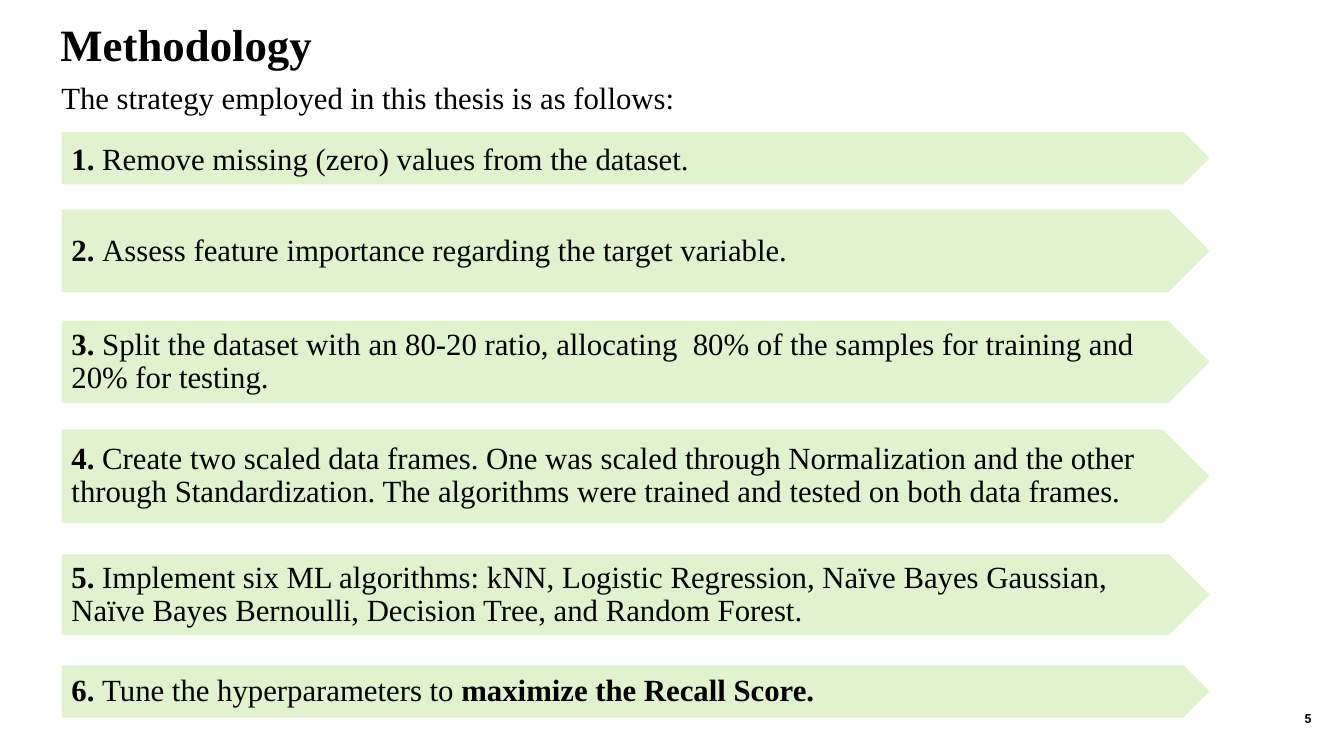
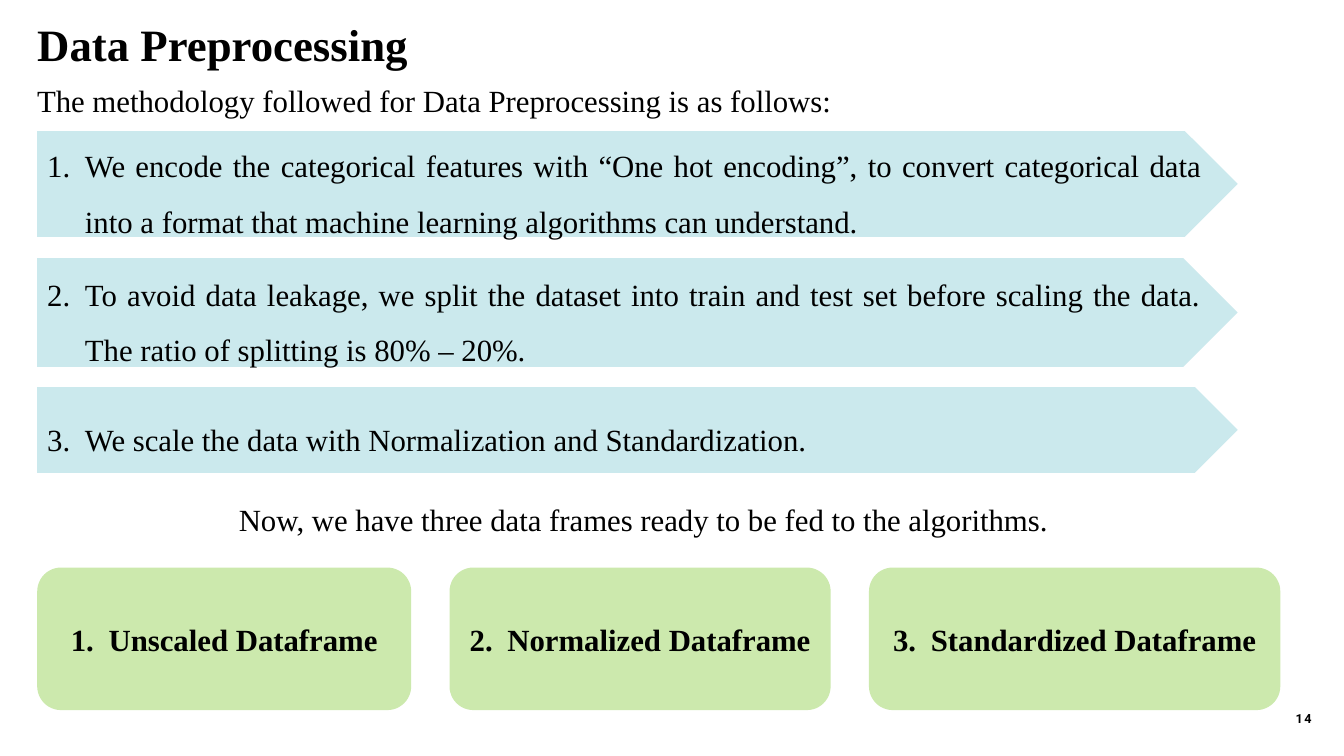
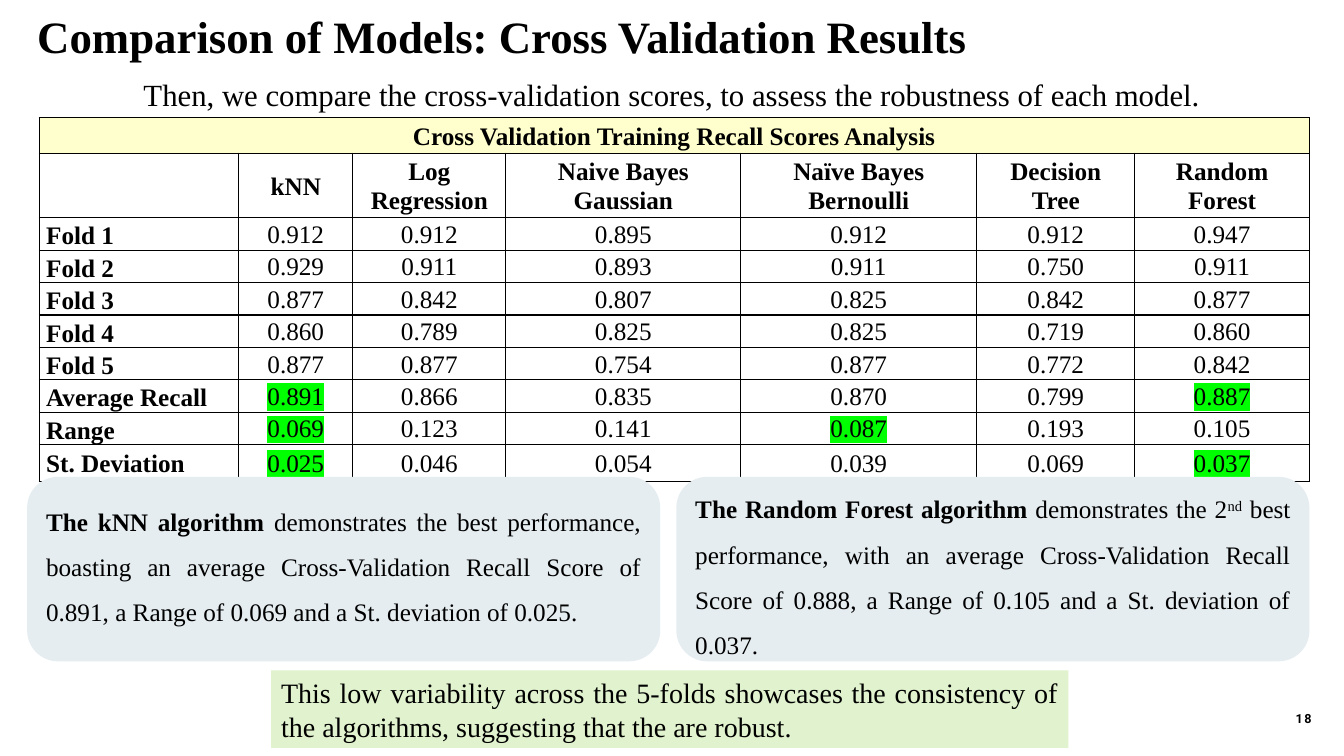
from lxml.etree import SubElement
from pptx import Presentation
from pptx.dml.color import RGBColor
from pptx.enum.shapes import MSO_SHAPE as Preset
from pptx.enum.text import MSO_ANCHOR as Anchor, MSO_AUTO_SIZE as AutoSize, PP_ALIGN as Align
from pptx.oxml.ns import qn
from pptx.util import Pt

BLACK = RGBColor(0x00, 0x00, 0x00)
WHITE = RGBColor(0xFF, 0xFF, 0xFF)
PALE_GREEN = RGBColor(0xE1, 0xF2, 0xCE)
GREEN = RGBColor(0xCC, 0xE9, 0xAD)
PALE_BLUE = RGBColor(0xCB, 0xE9, 0xED)
PALE_GREY = RGBColor(0xE5, 0xED, 0xF0)
CREAM = RGBColor(0xFF, 0xFF, 0xCD)
MARKER = RGBColor(0x00, 0xFF, 0x00)

SERIF = "Times New Roman"
PLAIN, BOLD, RAISED, MARKED = "plain", "bold", "raised", "marked"
LIST_INDENT = 27

STEPS = [
    # top, height, spans
    (94.3, 37.4, [("Remove missing (zero) values from the dataset.", PLAIN)]),
    (149.8, 59, [("Assess feature importance regarding the target variable.", PLAIN)]),
    (229, 59, [("Split the dataset with an 80-20 ratio, allocating  80% of the samples "
                "for training and 20% for testing.", PLAIN)]),
    (306.7, 67, [("Create two scaled data frames. One was scaled through Normalization and "
                  "the other through Standardization. The algorithms were trained and "
                  "tested on both data frames.", PLAIN)]),
    (396, 57.6, [("Implement six ML algorithms: kNN, Logistic Regression, Naïve Bayes "
                  "Gaussian, Naïve Bayes Bernoulli, Decision Tree, and Random Forest.", PLAIN)]),
    (475.2, 37.4, [("Tune the hyperparameters to ", PLAIN), ("maximize the Recall Score.", BOLD)]),
]

PREPROCESSING = [
    (93.6, 75.6, "We encode the categorical features with “One hot encoding”, to convert "
                 "categorical data into a format that machine learning algorithms can understand."),
    (184.3, 77.8, "To avoid data leakage, we split the dataset into train and test set before "
                  "scaling the data. The ratio of splitting is 80% – 20%."),
    (276.5, 61.2, "We scale the data with Normalization and Standardization."),
]

FRAMES = [(267.1, "Unscaled Dataframe"), (272.2, "Normalized Dataframe"),
          (293.8, "Standardized Dataframe")]

MODELS = ["", "kNN", "Log Regression", "Naive Bayes Gaussian", "Naïve Bayes Bernoulli",
          "Decision Tree", "Random Forest"]
SCORES = [
    ("Fold 1", "0.912 0.912 0.895 0.912 0.912 0.947"),
    ("Fold 2", "0.929 0.911 0.893 0.911 0.750 0.911"),
    ("Fold 3", "0.877 0.842 0.807 0.825 0.842 0.877"),
    ("Fold 4", "0.860 0.789 0.825 0.825 0.719 0.860"),
    ("Fold 5", "0.877 0.877 0.754 0.877 0.772 0.842"),
    ("Average Recall", "0.891* 0.866 0.835 0.870 0.799 0.887*"),
    ("Range", "0.069* 0.123 0.141 0.087* 0.193 0.105"),
    ("St. Deviation", "0.025* 0.046 0.054 0.039 0.069 0.037*"),
]
COLUMN_WIDTHS = [142.6, 81.4, 109.4, 167.8, 168.5, 113, 124.6]
ROW_HEIGHTS = [25.2, 43.2] + [20.9] * 7 + [26.6]

FINDINGS = [
    (Anchor.TOP, [
        ("The kNN algorithm ", BOLD),
        ("demonstrates the best performance, boasting an average Cross-Validation Recall "
         "Score of 0.891, a Range of 0.069 and a St. deviation of 0.025.", PLAIN)]),
    (Anchor.MIDDLE, [
        ("The Random Forest algorithm", BOLD), (" demonstrates the 2", PLAIN), ("nd", RAISED),
        (" best performance, with an average Cross-Validation Recall Score of 0.888, a Range "
         "of 0.105 and a St. deviation of 0.037.", PLAIN)]),
]


def points(*lengths):
    return [Pt(length) for length in lengths]


def add_span(para, text, style, size, font=SERIF):
    span = para.add_run()
    span.text = text
    span.font.name = font
    span.font.size = Pt(size)
    span.font.bold = style == BOLD
    span.font.color.rgb = BLACK
    props = span.font._element
    if style == RAISED:
        props.set("baseline", "30000")
    if style == MARKED:
        highlight = SubElement(props, qn("a:highlight"))
        SubElement(highlight, qn("a:srgbClr"), val=str(MARKER))
        props.find(qn("a:solidFill")).addnext(highlight)
    return span


def write(frame, spans, size=22, align=Align.LEFT, spacing=None, after=None):
    """Fill the first paragraph of a text frame with styled spans."""
    para = frame.paragraphs[0]
    para.alignment = align
    if spacing:
        para.line_spacing = spacing
    if after is not None:
        para.space_after = Pt(after)
    for text, style in spans:
        add_span(para, text, style, size)
    return para


def number(para, start):
    """Turn a paragraph into a numbered item with a hanging indent."""
    props = para._p.get_or_add_pPr()
    props.set("marL", str(Pt(LIST_INDENT)))
    props.set("indent", str(-Pt(LIST_INDENT)))
    SubElement(props, qn("a:buFont"), typeface="+mj-lt")
    SubElement(props, qn("a:buAutoNum"), type="arabicPeriod", startAt=str(start))


def add_panel(page, preset, place, fill, anchor=Anchor.MIDDLE):
    panel = page.shapes.add_shape(preset, *points(*place))
    panel.shadow.inherit = False
    panel.fill.solid()
    panel.fill.fore_color.rgb = fill
    panel.line.fill.background()
    panel.text_frame.word_wrap = True
    panel.text_frame.vertical_anchor = anchor
    return panel.text_frame


def add_text(page, place):
    frame = page.shapes.add_textbox(*points(*place)).text_frame
    frame.word_wrap = True
    return frame


def add_lead(page, text, place, align=Align.JUSTIFY, after=6):
    write(add_text(page, place), [(text, PLAIN)], align=align, spacing=1.5, after=after)


def start_page(deck, title, left, top, page_number):
    """Add a slide with the shared title style and page number."""
    page = deck.slides.add_slide(deck.slide_layouts[5])
    box = page.shapes.title
    box.left, box.top, box.width, box.height = points(left, top, 837, 49)
    frame = box.text_frame
    frame.word_wrap = True
    frame.auto_size = AutoSize.NONE
    frame.vertical_anchor = Anchor.TOP
    write(frame, [(title, BOLD)], size=32, spacing=1.2).space_before = Pt(10)

    footer = add_text(page, (901.4, 499, 42.5, 28.8))
    footer.vertical_anchor = Anchor.MIDDLE
    para = footer.paragraphs[0]
    para.alignment = Align.RIGHT
    span = add_span(para, str(page_number), BOLD, 9, "Roboto")
    span.font._element.set("spc", "100")
    return page


def add_steps(page, left, width):
    for index, (top, height, spans) in enumerate(STEPS, 1):
        frame = add_panel(page, Preset.PENTAGON, (left, top, width, height), PALE_GREEN)
        write(frame, [(f"{index}. ", BOLD)] + spans, spacing=0.9 if index > 1 else None)


def add_preprocessing(page, left, width):
    for index, (top, height, text) in enumerate(PREPROCESSING, 1):
        frame = add_panel(page, Preset.PENTAGON, (left, top, width, height), PALE_BLUE)
        number(write(frame, [(text, PLAIN)], align=Align.JUSTIFY, spacing=1.5, after=6), index)


def add_frame_cards(page, left, top, height, gap):
    for index, (width, name) in enumerate(FRAMES, 1):
        frame = add_panel(page, Preset.ROUNDED_RECTANGLE, (left, top, width, height), GREEN)
        number(write(frame, [(name, BOLD)], align=Align.CENTER), index)
        left += width + gap


def draw_borders(cell):
    props = cell._tc.get_or_add_tcPr()
    for position, side in enumerate(("a:lnL", "a:lnR", "a:lnT", "a:lnB")):
        line = SubElement(props, qn(side), w=str(Pt(1)))
        fill = SubElement(line, qn("a:solidFill"))
        SubElement(fill, qn("a:srgbClr"), val=str(BLACK))
        props.insert(position, line)


def fill_cell(cell, text, style, align=Align.CENTER, anchor=Anchor.MIDDLE, fill=WHITE):
    cell.margin_left = cell.margin_right = Pt(5)
    cell.margin_top = cell.margin_bottom = Pt(0)
    cell.vertical_anchor = anchor
    cell.fill.solid()
    cell.fill.fore_color.rgb = fill
    draw_borders(cell)
    if text:
        write(cell.text_frame, [(text, style)], size=18, align=align, spacing=1.07)


def add_score_table(page, left, top):
    place = points(left, top, sum(COLUMN_WIDTHS), sum(ROW_HEIGHTS))
    table = page.shapes.add_table(len(ROW_HEIGHTS), len(COLUMN_WIDTHS), *place).table
    table.first_row = table.horz_banding = False
    for column, width in zip(table.columns, COLUMN_WIDTHS):
        column.width = Pt(width)
    for row, height in zip(table.rows, ROW_HEIGHTS):
        row.height = Pt(height)

    table.cell(0, 0).merge(table.cell(0, len(MODELS) - 1))
    for column, model in enumerate(MODELS):
        heading = "" if column else "Cross Validation Training Recall Scores Analysis"
        fill_cell(table.cell(0, column), heading, BOLD, fill=CREAM)
        fill_cell(table.cell(1, column), model, BOLD)
    for row, (label, values) in enumerate(SCORES, 2):
        anchor = Anchor.MIDDLE if label == "St. Deviation" else Anchor.BOTTOM
        fill_cell(table.cell(row, 0), label, BOLD, Align.LEFT, anchor)
        for column, value in enumerate(values.split(), 1):
            style = MARKED if value.endswith("*") else PLAIN
            fill_cell(table.cell(row, column), value.rstrip("*"), style)


def add_findings(page, left, top, width, height, gap):
    for index, (anchor, spans) in enumerate(FINDINGS):
        place = (left + index * (width + gap), top, width, height)
        frame = add_panel(page, Preset.ROUNDED_RECTANGLE, place, PALE_GREY, anchor)
        write(frame, spans, size=18, align=Align.JUSTIFY, spacing=1.5, after=6)


def methodology_page(deck):
    page = start_page(deck, "Methodology", 36, 1, 5)
    add_lead(page, "The strategy employed in this thesis is as follows:", (36.7, 39.6, 753, 43))
    add_steps(page, 44, 820)


def preprocessing_page(deck):
    page = start_page(deck, "Data Preprocessing", 19.4, 1, 14)
    add_lead(page, "The methodology followed for Data Preprocessing is as follows:",
             (19.4, 41.8, 823, 43))
    add_preprocessing(page, 26.6, 857.5)
    add_lead(page, "Now, we have three data frames ready to be fed to the algorithms.",
             (64, 340.6, 791, 43), Align.CENTER, after=0)
    add_frame_cards(page, 26.6, 405.4, 101.8, 27.4)


def comparison_page(deck):
    page = start_page(deck, "Comparison of Models: Cross Validation Results", 19.4, -5, 18)
    add_lead(page, "Then, we compare the cross-validation scores, to assess the robustness "
                   "of each model.", (54.7, 37.4, 850, 43), Align.CENTER)
    add_score_table(page, 28, 84.2)
    add_findings(page, 19.4, 340.6, 452.2, 131.8, 11.5)
    note = add_panel(page, Preset.RECTANGLE, (193.7, 478.8, 569.5, 55.4), PALE_GREEN)
    write(note, [("This low variability across the 5-folds showcases the consistency of the "
                  "algorithms, suggesting that the are robust.", PLAIN)],
          size=20, align=Align.JUSTIFY)


def main():
    deck = Presentation()
    deck.slide_width, deck.slide_height = points(960, 540)
    methodology_page(deck)
    preprocessing_page(deck)
    comparison_page(deck)
    deck.save("out.pptx")


if __name__ == "__main__":
    main()
